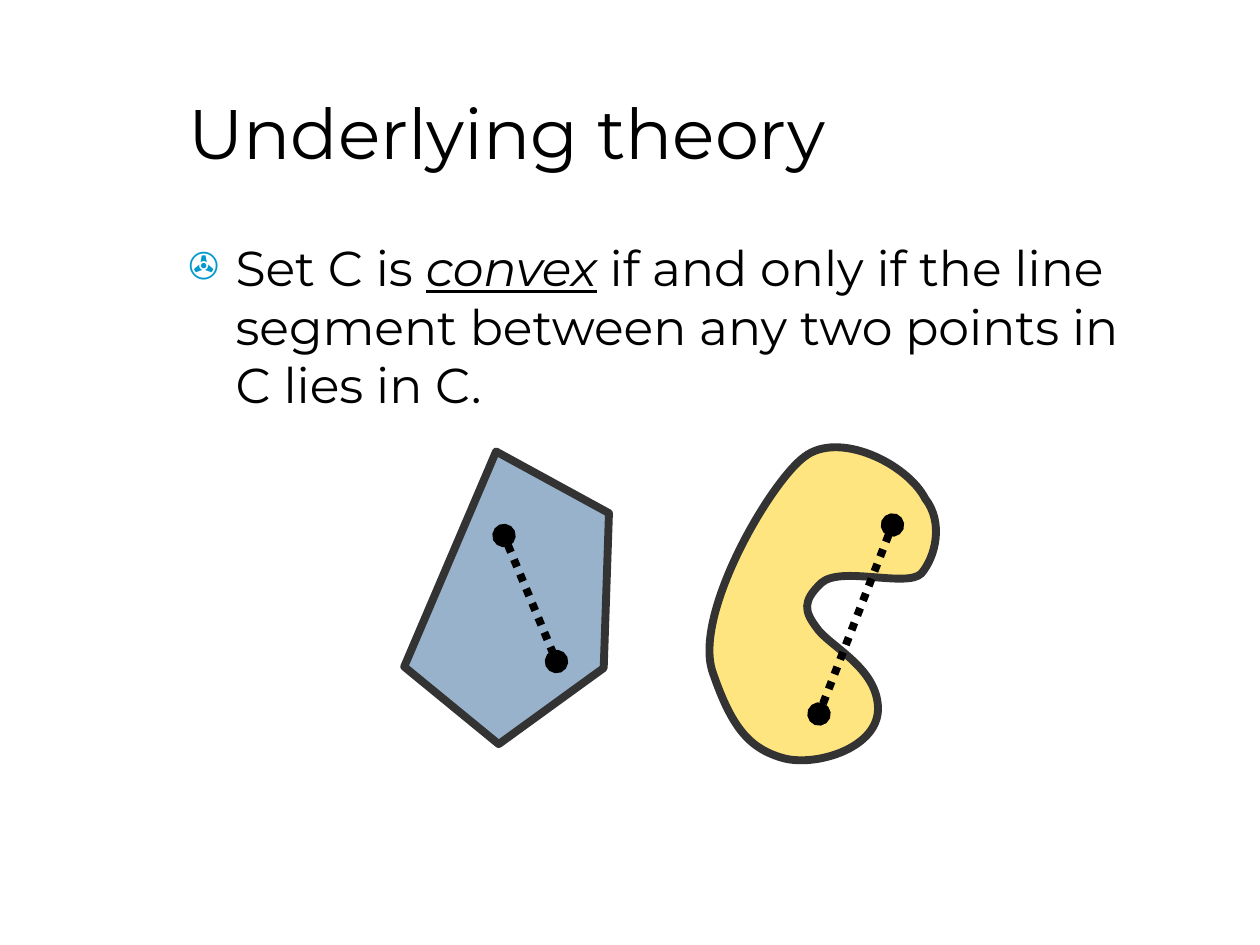
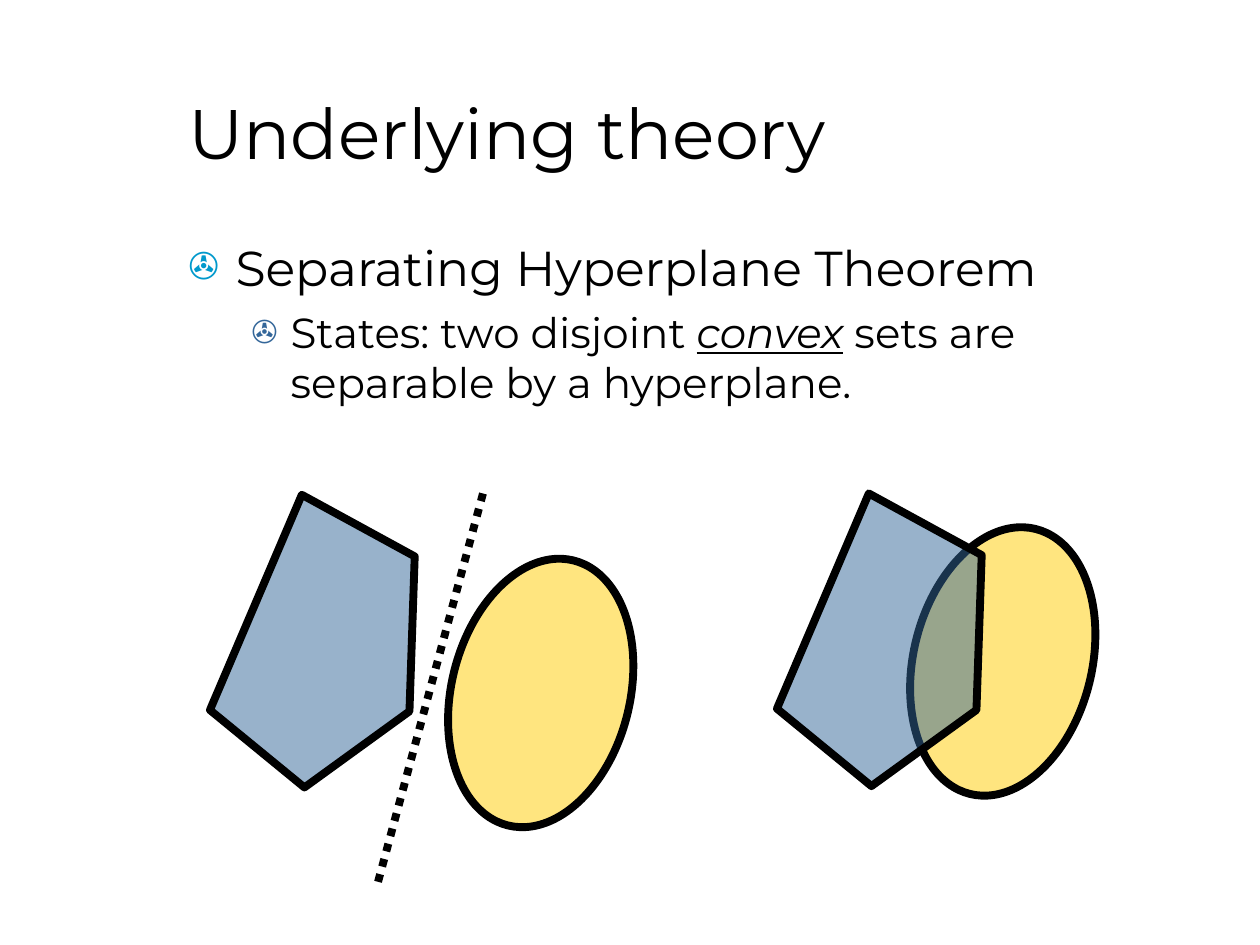
from lxml.etree import SubElement
from pptx import Presentation
from pptx.dml.color import RGBColor
from pptx.enum.dml import MSO_LINE
from pptx.enum.shapes import MSO_CONNECTOR, MSO_SHAPE
from pptx.enum.text import MSO_ANCHOR as ANCHOR
from pptx.oxml.ns import qn
from pptx.util import Pt

PX = 9525  # 96 px to the inch
FONT = "Montserrat"
BLACK = RGBColor(0x00, 0x00, 0x00)
CHARCOAL = RGBColor(0x33, 0x33, 0x33)
BLUE = RGBColor(0x33, 0x66, 0x99)
YELLOW = RGBColor(0xFF, 0xCC, 0x00)
CYAN = RGBColor(0x00, 0x99, 0xCC)

# Shared text frames and the two bullet levels
TITLE_BOX = (134, 40, 744, 120)
BODY_BOX = (134, 176, 744, 464)
TITLE_FORMAT = {"vertical_anchor": ANCHOR.MIDDLE, "margin_top": 0, "margin_bottom": 0}
LEVELS = [
    {"size": 28, "before": 7, "left": 36, "hang": 36, "bullet": CYAN},
    {"size": 24, "before": 6, "left": 78, "hang": 30, "bullet": BLUE},
]
EMPHASIS = {"italic": True, "underline": True}

# Pentagon corners, measured from its left and top edges
PENTAGON = [(70, 0), (156, 47), (152, 165), (72, 223), (0, 164), (70, 0)]
# Kidney outline: start point, then two control points and an end point per row
KIDNEY = [
    (613, 348),
    (639, 328), (691, 353), (705, 380),
    (719, 398), (713, 424), (702, 437),
    (691, 448), (641, 431), (626, 444),
    (611, 458), (613, 466), (622, 478),
    (631, 492), (668, 508), (669, 539),
    (670, 569), (624, 584), (598, 578),
    (572, 571), (558, 556), (543, 512),
    (528, 468), (587, 367), (613, 348),
]

# Each text line is (level, plain text, emphasised word, plain text)
SLIDES = [
    {
        "lines": [(0, "Set C is ", "convex",
                   " if and only if the line segment between any two points in C lies in C.")],
        "outline": CHARCOAL, "ellipses": [], "pentagons": [(308, 344)], "kidney": True,
        "dotted": [(680, 400, 624, 544), (384, 408, 424, 504)], "end_points": True,
    },
    {
        "lines": [(0, "Separating Hyperplane Theorem", "", ""),
                  (1, "States: two disjoint ", "convex", " sets are separable by a hyperplane.")],
        "outline": BLACK, "ellipses": [(344, 424), (696, 400)],
        "pentagons": [(160, 377), (592, 376)], "kidney": False,
        "dotted": [(368, 376, 288, 672)], "end_points": False,
    },
]


def paint(figure, outline, fill=None, end_points=False):
    """Thick round-joined line, dotted unless filled half-transparent, no shadow."""
    properties = figure.element.spPr
    if fill is not None:
        figure.fill.solid()
        figure.fill.fore_color.rgb = fill
        colour = properties.find(qn("a:solidFill")).find(qn("a:srgbClr"))
        SubElement(colour, qn("a:alpha"), val="50000")
    figure.line.width = Pt(4.5)
    figure.line.color.rgb = outline
    stroke = properties.find(qn("a:ln"))
    if fill is None:
        figure.line.dash_style = MSO_LINE.ROUND_DOT
        stroke.find(qn("a:prstDash")).set("val", "sysDot")
    SubElement(stroke, qn("a:round"))
    if end_points:
        for end in ("a:headEnd", "a:tailEnd"):
            SubElement(stroke, qn(end), type="oval")
    SubElement(properties, qn("a:effectLst"))


def add_outline(slide, points, curved=False):
    """Closed freeform; if curved, every three points form one Bézier curve."""
    builder = slide.shapes.build_freeform(*points[0], scale=PX)
    builder.add_line_segments(points[1:], close=True)
    figure = builder.convert_to_shape()
    if curved:
        steps = list(figure.element.iter(qn("a:lnTo")))
        for index in range(0, len(steps), 3):
            trio = steps[index:index + 3]
            route = trio[0].getparent()
            curve = SubElement(route, qn("a:cubicBezTo"))
            trio[0].addprevious(curve)
            for step in trio:
                curve.append(step[0])
                route.remove(step)
    return figure


deck = Presentation()
deck.slide_width, deck.slide_height = 960 * PX, 720 * PX

for content in SLIDES:
    slide = deck.slides.add_slide(deck.slide_layouts[6])
    shapes = slide.shapes

    # Title
    title = shapes.add_textbox(*(n * PX for n in TITLE_BOX)).text_frame
    title.word_wrap = True
    for name, value in TITLE_FORMAT.items():
        setattr(title, name, value)
    heading = title.paragraphs[0].add_run()
    heading.text = "Underlying theory"
    for name, value in {"name": FONT, "size": Pt(40)}.items():
        setattr(heading.font, name, value)
    heading.font.color.rgb = BLACK

    # Bulleted statement
    body = shapes.add_textbox(*(n * PX for n in BODY_BOX)).text_frame
    body.word_wrap = True
    for index, (level, before, emphasised, after) in enumerate(content["lines"]):
        look = LEVELS[level]
        paragraph = body.add_paragraph() if index else body.paragraphs[0]
        paragraph.level = level
        paragraph.space_before = Pt(look["before"])
        layout = paragraph._p.get_or_add_pPr()
        layout.set("marL", str(look["left"] * PX))
        layout.set("indent", str(-look["hang"] * PX))
        bullet_colour = SubElement(layout, qn("a:buClr"))
        SubElement(bullet_colour, qn("a:srgbClr"), val=str(look["bullet"]))
        SubElement(layout, qn("a:buSzPct"), val="75000")
        SubElement(layout, qn("a:buFont"), typeface=FONT)
        SubElement(layout, qn("a:buChar"), char="✇")
        for words, extra in ((before, {}), (emphasised, EMPHASIS), (after, {})):
            if not words:
                continue
            run = paragraph.add_run()
            run.text = words
            run.font.color.rgb = BLACK
            for name, value in {"name": FONT, "size": Pt(look["size"]), **extra}.items():
                setattr(run.font, name, value)

    # Sets: ellipses behind, then pentagons and the kidney
    for left, top in content["ellipses"]:
        ellipse = shapes.add_shape(MSO_SHAPE.OVAL, left * PX, top * PX, 136 * PX, 208 * PX)
        ellipse.rotation = 13.9
        paint(ellipse, content["outline"], YELLOW)
    for left, top in content["pentagons"]:
        pentagon = add_outline(slide, [(left + x, top + y) for x, y in PENTAGON])
        paint(pentagon, content["outline"], BLUE)
    if content["kidney"]:
        paint(add_outline(slide, KIDNEY, curved=True), content["outline"], YELLOW)

    # Dotted segments and the separating hyperplane
    for ends in content["dotted"]:
        segment = shapes.add_connector(MSO_CONNECTOR.STRAIGHT, *(n * PX for n in ends))
        paint(segment, BLACK, end_points=content["end_points"])

deck.save("out.pptx")
